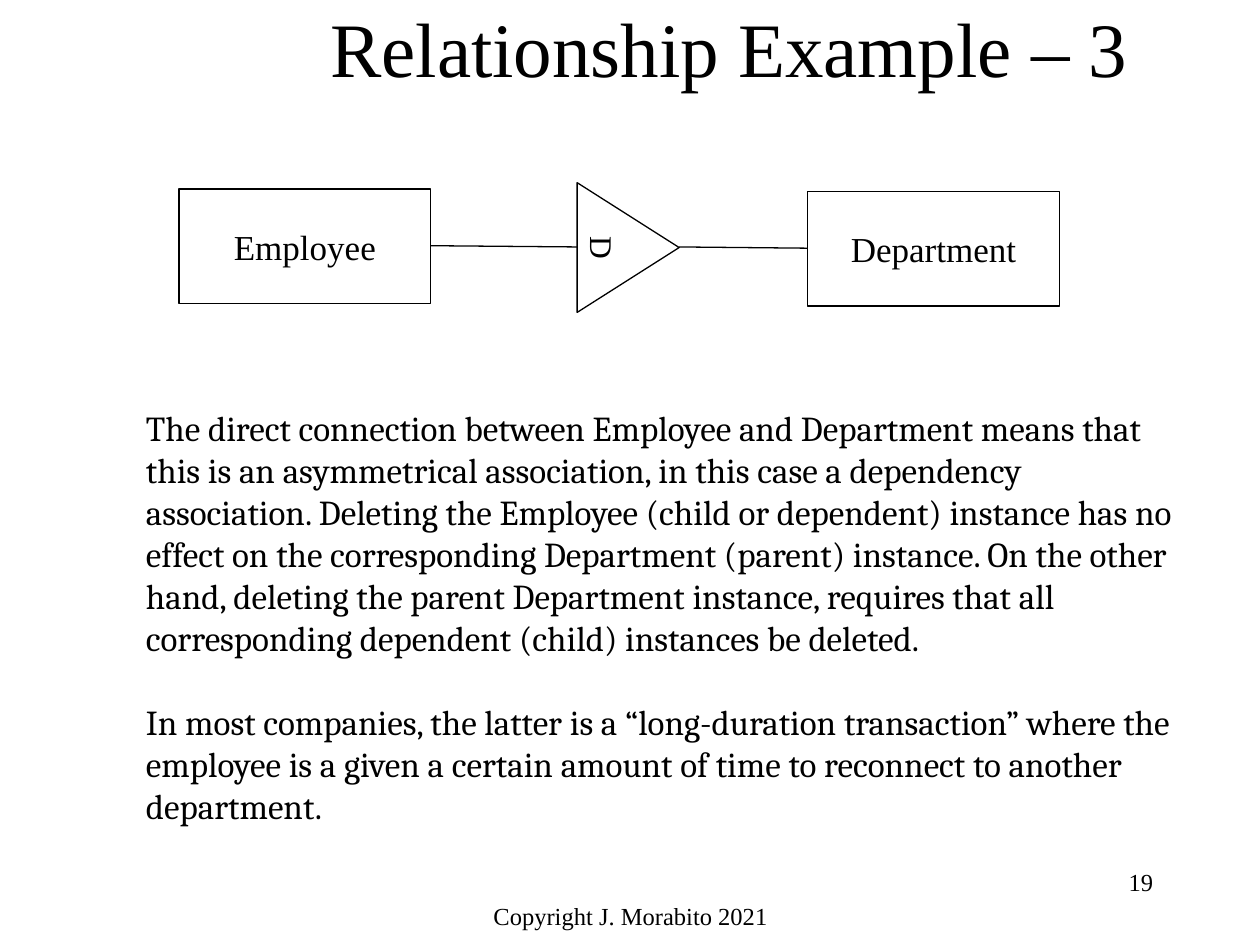
from lxml.etree import SubElement
from pptx import Presentation
from pptx.dml.color import RGBColor
from pptx.enum.shapes import MSO_CONNECTOR, MSO_SHAPE
from pptx.enum.text import MSO_ANCHOR, MSO_AUTO_SIZE, PP_ALIGN
from pptx.oxml.ns import qn
from pptx.util import Inches, Pt

BLACK = RGBColor(0x00, 0x00, 0x00)
SERIF = "Times New Roman"
LINE_WIDTH = Pt(0.75)

EXPLANATION = [
    "The direct connection between Employee and Department means that this is "
    "an asymmetrical association, in this case a dependency association. "
    "Deleting the Employee (child or dependent) instance has no effect on the "
    "corresponding Department (parent) instance. On the other hand, deleting "
    "the parent Department instance, requires that all corresponding dependent "
    "(child) instances be deleted.",
    "In most companies, the latter is a “long-duration transaction” where the "
    "employee is a given a certain amount of time to reconnect to another "
    "department.",
]


def write(frame, paragraphs, size, align, font=SERIF, gap=0):
    """Fill a text frame, with a gap between its paragraphs."""
    frame.text = "\n".join(paragraphs)
    for index, paragraph in enumerate(frame.paragraphs):
        paragraph.alignment = align
        paragraph.space_before = Pt(gap if index else 0)
        for name, value in {"name": font, "size": Pt(size)}.items():
            setattr(paragraph.font, name, value)
        paragraph.font.color.rgb = BLACK


def add_title(slide, text, box):
    title = slide.shapes.title
    for name, value in zip(("left", "top", "width", "height"), box):
        setattr(title, name, Inches(value))
    frame = title.text_frame
    write(frame, [text], 44, PP_ALIGN.CENTER)
    settings = {
        "margin_left": 0, "margin_right": 0, "margin_top": 0, "margin_bottom": 0,
        "vertical_anchor": MSO_ANCHOR.MIDDLE, "auto_size": MSO_AUTO_SIZE.NONE,
    }
    for name, value in settings.items():
        setattr(frame, name, value)


def add_text(slide, paragraphs, box, size, align, **style):
    frame = slide.shapes.add_textbox(*map(Inches, box)).text_frame
    frame.word_wrap = True
    write(frame, paragraphs, size, align, **style)


def add_node(slide, kind, label, box, size=20, rotation=0):
    """Add an outlined shape of the diagram with a centred label."""
    node = slide.shapes.add_shape(kind, *map(Inches, box))
    node.rotation = rotation
    node.shadow.inherit = False
    node.fill.background()
    node.line.color.rgb = BLACK
    node.line.width = LINE_WIDTH
    frame = node.text_frame
    frame.word_wrap = False
    frame.vertical_anchor = MSO_ANCHOR.MIDDLE
    write(frame, [label], size, PP_ALIGN.CENTER)


def add_link(slide, start, end):
    link = slide.shapes.add_connector(
        MSO_CONNECTOR.STRAIGHT, *map(Inches, start + end))
    link.line.color.rgb = BLACK
    link.line.width = LINE_WIDTH
    SubElement(link._element.spPr, qn("a:effectLst"))


def main():
    presentation = Presentation()
    presentation.slide_width = Inches(10)
    presentation.slide_height = Inches(7.5)
    slide = presentation.slides.add_slide(presentation.slide_layouts[5])

    add_title(slide, "Relationship Example – 3", (1.58, 0.08, 8.42, 0.58))

    # Footer and page number
    add_text(slide, ["Copyright J. Morabito 2021"], (3.42, 7.1, 3.17, 0.36),
             14, PP_ALIGN.CENTER)
    add_text(slide, ["19"], (7.17, 6.83, 2.08, 0.5), 14, PP_ALIGN.RIGHT)

    # Entities and the dependency between them
    add_node(slide, MSO_SHAPE.RECTANGLE, "Employee", (1.42, 1.5, 2, 0.91))
    add_node(slide, MSO_SHAPE.RECTANGLE, "Department", (6.41, 1.52, 2, 0.91))
    add_node(slide, MSO_SHAPE.ISOSCELES_TRIANGLE, "D",
             (4.47, 1.56, 1.03, 0.81), size=18, rotation=90)
    add_link(slide, (3.42, 1.95), (4.58, 1.96))
    add_link(slide, (5.39, 1.96), (6.41, 1.97))

    # Explanation, with one line of space between paragraphs
    add_text(slide, EXPLANATION, (1.06, 3.18, 8.42, 3.44), 20, PP_ALIGN.LEFT,
             font="Cambria", gap=24)

    presentation.save("out.pptx")


if __name__ == "__main__":
    main()
